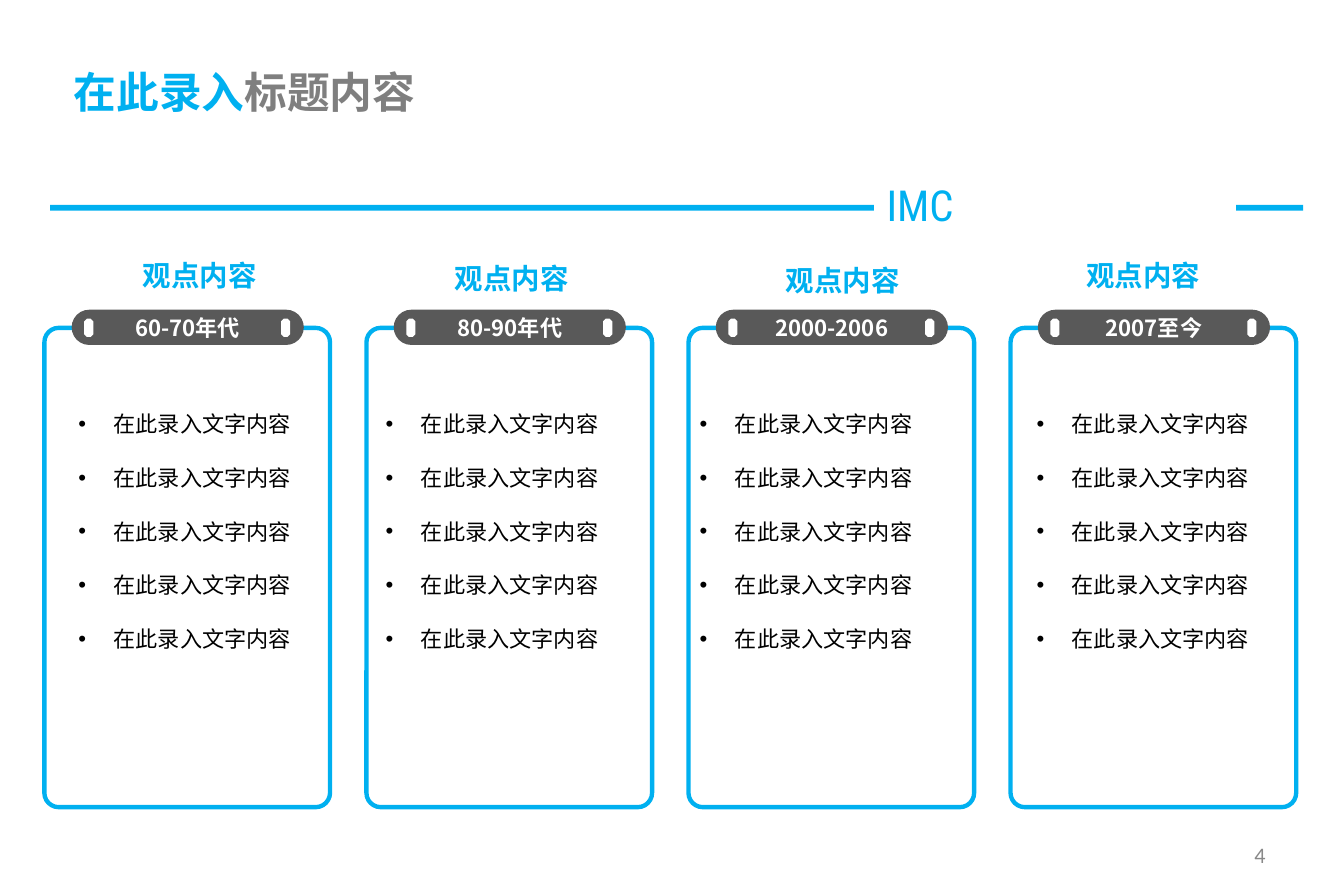
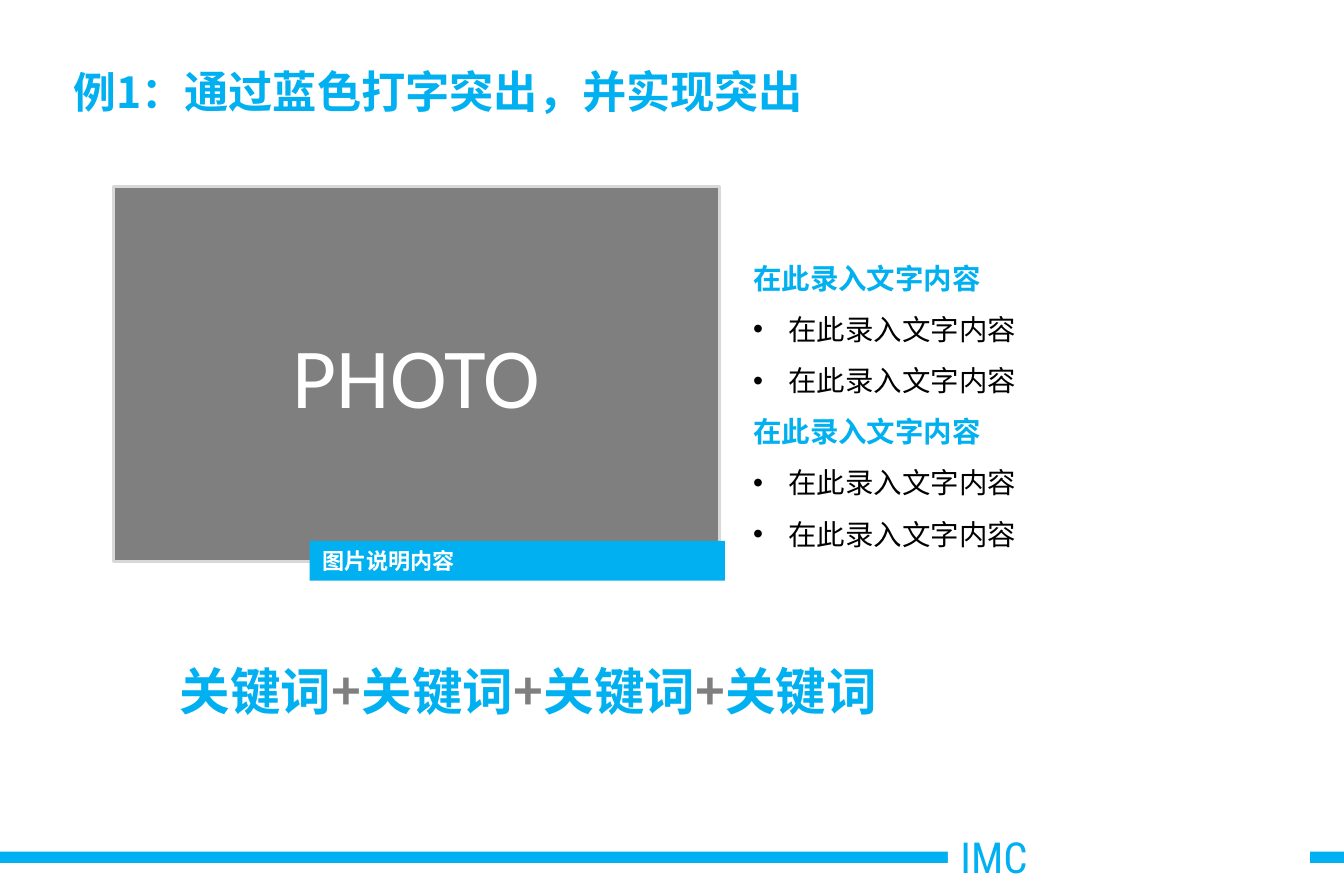
from lxml import etree
from pptx import Presentation
from pptx.dml.color import RGBColor
from pptx.enum.shapes import MSO_SHAPE
from pptx.enum.text import MSO_ANCHOR, PP_ALIGN
from pptx.oxml.ns import qn
from pptx.util import Emu, Pt

RECT = MSO_SHAPE.RECTANGLE
ROUND = MSO_SHAPE.ROUNDED_RECTANGLE
OCTAGON = MSO_SHAPE.OCTAGON
LEFT, CENTER, RIGHT = PP_ALIGN.LEFT, PP_ALIGN.CENTER, PP_ALIGN.RIGHT
TOP, MIDDLE = MSO_ANCHOR.TOP, MSO_ANCHOR.MIDDLE

SCALE = 9144
WIDTH, HEIGHT = 1181, 787
HAN, LATIN, BRAND = "Noto Sans CJK SC", "Calibri", "Roboto Condensed"
COLORS = {
    "blue": "00B0F0",
    "gray": "7F7F7F",
    "dark": "595959",
    "pale": "D8D8D8",
    "note": "898989",
    "white": "FFFFFF",
    "black": "000000",
}
ENTRY = "在此录入文字内容"
PITCH = 283
COLUMNS = [
    ("60-70年代", (69, 222, 213), (59, 225)),
    ("80-90年代", (355, 224, 189), (329, 223)),
    ("2000-2006", (642, 226, 197), (605, 266)),
    ("2007至今", (911, 222, 187), (901, 227)),
]


def px(n):
    return Emu(n * SCALE)


def rgb(name):
    return RGBColor.from_string(COLORS[name])


def style(run, size, color, bold=False, face=HAN):
    font = run.font
    font.size, font.bold, font.name = Pt(size), bold, face
    font.color.rgb = rgb(color)
    east = etree.SubElement(run._r.get_or_add_rPr(), qn("a:ea"))
    east.set("typeface", face)


def frame(shape, pad=(11, 6), anchor=MIDDLE):
    text = shape.text_frame
    text.word_wrap = True
    text.vertical_anchor = anchor
    text.margin_left = text.margin_right = px(pad[0])
    text.margin_top = text.margin_bottom = px(pad[1])
    return text


def write(shape, words, size, color, bold=False, face=HAN, align=LEFT, pad=(11, 6)):
    text = frame(shape, pad)
    text.text = words
    para = text.paragraphs[0]
    para.alignment = align
    style(para.runs[0], size, color, bold, face)


def box(slide, x, y, w, h):
    return slide.shapes.add_textbox(px(x), px(y), px(w), px(h))


def block(slide, kind, x, y, w, h, fill=None, line=None, weight=1, adj=None):
    shape = slide.shapes.add_shape(kind, px(x), px(y), px(w), px(h))
    shape.shadow.inherit = False
    if fill:
        shape.fill.solid()
        shape.fill.fore_color.rgb = rgb(fill)
    else:
        shape.fill.background()
    if line:
        shape.line.color.rgb = rgb(line)
        shape.line.width = Pt(weight)
    else:
        shape.line.fill.background()
    if adj is not None:
        shape.adjustments[0] = adj
    return shape


def phrase(shape, parts, bold=True):
    para = frame(shape).paragraphs[0]
    for words, size, color in parts:
        run = para.add_run()
        run.text = words
        style(run, size, color, bold)


def title(slide, *parts):
    phrase(box(slide, 54, 49, 1063, 62), parts)


def band(slide, x, y, w, h, left, top):
    block(slide, RECT, x, y, w, h, "blue")
    brand = block(slide, RECT, left, top, 318, 56, "white")
    write(brand, "IMC", 27, "blue", face=BRAND)


def bullet(para):
    props = para._p.get_or_add_pPr()
    tint = etree.SubElement(etree.SubElement(props, qn("a:buClr")), qn("a:srgbClr"))
    tint.set("val", COLORS["black"])
    etree.SubElement(props, qn("a:buFont")).set("typeface", "Arial")
    etree.SubElement(props, qn("a:buChar")).set("char", "•")
    props.set("marL", str(px(31)))
    props.set("indent", str(px(-31)))


def items(shape, rows, size, pitch, gap=0):
    text = frame(shape, (10, 5), TOP)
    for i, (words, head) in enumerate(rows):
        para = text.add_paragraph() if i else text.paragraphs[0]
        para.text = words
        if not head:
            bullet(para)
        para.line_spacing = Pt(pitch)
        if i and gap:
            para.space_before = Pt(gap)
        style(para.runs[0], size, "blue" if head else "black", head)


def panel(slide, x, label):
    block(slide, ROUND, x, 288, 251, 421, line="blue", weight=2.75, adj=0.05)
    tag = block(slide, ROUND, x + 24, 272, 204, 31, "dark", adj=0.5)
    write(tag, label, 14, "white", True, align=CENTER, pad=(0, 0))
    for hole in (35, 208):
        block(slide, OCTAGON, x + hole, 280, 8, 16, "white", adj=0.29)


def eras(slide):
    title(slide, ("在此录入", 27, "blue"), ("标题内容", 27, "gray"))
    band(slide, 44, 180, 1101, 5, 768, 152)
    for i, (label, head, body) in enumerate(COLUMNS):
        panel(slide, 39 + i * PITCH, label)
        x, y, w = head
        write(box(slide, x, y, w, 40), "观点内容", 18, "blue", True,
              align=CENTER, pad=(10, 5))
        x, w = body
        items(box(slide, x, 344, w, 281), [(ENTRY, False)] * 5, 14, 25.2, 8.8)
    write(box(slide, 847, 730, 276, 42), "4", 14, "note", face=LATIN, align=RIGHT)


def example(slide):
    band(slide, 0, 748, WIDTH, 10, 833, 724)
    photo = block(slide, RECT, 100, 164, 532, 329, "gray", "pale", 2)
    write(photo, "PHOTO", 54, "white", face=LATIN, align=CENTER, pad=(10, 5))
    title(slide, ("例1：", 27, "blue"), ("通过蓝色打字突出，并实现突出", 28, "blue"))
    word, plus = ("关键词", 32, "blue"), ("+", 32, "gray")
    phrase(box(slide, 147, 574, 922, 65), [word, plus] * 3 + [word])
    note = block(slide, RECT, 272, 475, 365, 35, "blue")
    write(note, "图片说明内容", 14, "white", True)
    group = [(ENTRY, True), (ENTRY, False), (ENTRY, False)]
    items(box(slide, 652, 209, 477, 280), group * 2, 18, 32.4)


def main():
    deck = Presentation()
    deck.slide_width, deck.slide_height = px(WIDTH), px(HEIGHT)
    for draw in (eras, example):
        draw(deck.slides.add_slide(deck.slide_layouts[6]))
    deck.save("out.pptx")


if __name__ == "__main__":
    main()
